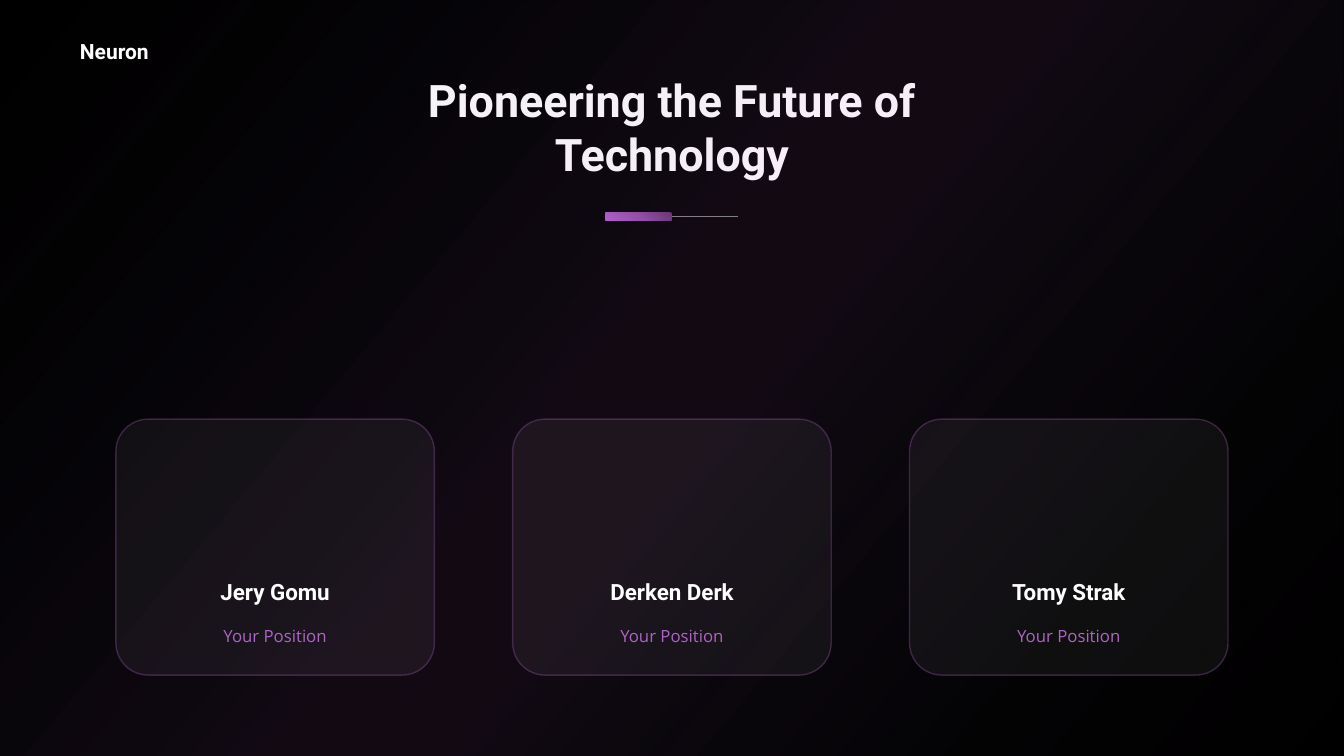
from pptx import Presentation
from pptx.dml.color import RGBColor
from pptx.enum.shapes import MSO_CONNECTOR as Line, MSO_SHAPE as Form
from pptx.enum.text import MSO_ANCHOR as Anchor, PP_ALIGN as Align
from pptx.oxml import parse_xml
from pptx.oxml.ns import qn
from pptx.util import Pt
from lxml.etree import SubElement

HUES = {
    "back": "000000", "text": "FFFFFF", "pink": "AC65C3", "rule": "808080",
    "dusk": "381F5F", "night": "1F2232",
    "dark": "683878", "mid": "944FAA", "light": "B05ECA",
}
WIDE, HIGH = 960, 540
NS = "http://schemas.openxmlformats.org/drawingml/2006/main"
TEAM = ("Jery Gomu", "Derken Derk", "Tomy Strak")


def hue(name):
    return RGBColor.from_string(HUES[name])


def fade(fill, part):
    tag = fill._xPr.find(qn("a:solidFill"))[0]
    SubElement(tag, qn("a:alpha")).set("val", str(part * 1000))


def blend(shape, stops, angle):
    shape.fill.background()
    marks = "".join(
        f'<a:gs pos="{pos * 1000}"><a:srgbClr val="{HUES[name]}">'
        f'<a:alpha val="{part * 1000}"/></a:srgbClr></a:gs>'
        for pos, name, part in stops)
    grad = parse_xml(
        f'<a:gradFill xmlns:a="{NS}" rotWithShape="1"><a:gsLst>{marks}</a:gsLst>'
        f'<a:lin ang="{angle * 60000}" scaled="0"/></a:gradFill>')
    props = shape._element.spPr
    props.replace(props.find(qn("a:noFill")), grad)


def block(slide, form, x, y, w, h):
    shape = slide.shapes.add_shape(form, Pt(x), Pt(y), Pt(w), Pt(h))
    shape.shadow.inherit = False
    shape.line.fill.background()
    return shape


def write(frame, text, size, tint="text", face="Roboto", bold=True,
          align=Align.CENTER, space=1.0):
    frame.word_wrap = True
    frame.vertical_anchor = Anchor.TOP
    para = frame.paragraphs[0]
    para.alignment = align
    para.line_spacing = space
    run = para.add_run()
    run.text = text
    font = run.font
    font.name, font.size, font.bold = face, Pt(size), bold
    font.color.rgb = hue(tint)


def label(slide, x, y, w, h, text, size, **style):
    box = slide.shapes.add_textbox(Pt(x), Pt(y), Pt(w), Pt(h))
    write(box.text_frame, text, size, **style)


def backdrop(slide):
    fill = slide.background.fill
    fill.solid()
    fill.fore_color.rgb = hue("back")
    glow = block(slide, Form.RECTANGLE, 0, 0, WIDE, HIGH)
    blend(glow, [(2, "dusk", 0), (45, "pink", 10), (55, "pink", 10),
                 (100, "night", 0)], 40)
    label(slide, 50, 23.8, 70, 25, "Neuron", 15, align=Align.LEFT)


def header(slide, x, y, w, h):
    title = slide.shapes.title
    title.left, title.top, title.width, title.height = Pt(x), Pt(y), Pt(w), Pt(h)
    write(title.text_frame, "Pioneering the Future of Technology", 32)


def accent(slide, x, y, w, h):
    bar = block(slide, Form.ROUNDED_RECTANGLE, x, y, w / 2, h)
    blend(bar, [(0, "dark", 100), (50, "mid", 100), (100, "light", 100)], 135)
    mid = Pt(y + h / 2)
    rule = slide.shapes.add_connector(Line.STRAIGHT, Pt(x + w), mid,
                                      Pt(x + w / 2), mid)
    rule.end_connect(bar, 3)
    rule.line.color.rgb = hue("rule")
    rule.line.width = Pt(0.5)
    SubElement(rule._element.spPr, qn("a:effectLst"))


def card(slide, x, y, w, h, name):
    panel = block(slide, Form.ROUNDED_RECTANGLE, x, y, w, h)
    panel.adjustments[0] = 0.126
    panel.fill.solid()
    panel.fill.fore_color.rgb = hue("text")
    fade(panel.fill, 5)
    panel.line.color.rgb = hue("pink")
    panel.line.width = Pt(1)
    fade(panel.line.fill, 30)
    inset = 29.2
    span = w - 2 * inset
    label(slide, x + inset, y + 137, span, 26.6, "Your Position", 12,
          tint="pink", face="Open Sans", bold=False, space=1.5)
    label(slide, x + inset, y + 110.2, span, 26.6, name, 16)


def team(slide, x, y, w, h):
    size = 227.5
    step = (w - size) / (len(TEAM) - 1)
    for i, name in enumerate(TEAM):
        card(slide, x + i * step, y, size, h, name)


def main():
    deck = Presentation()
    deck.slide_width, deck.slide_height = Pt(WIDE), Pt(HIGH)
    slide = deck.slides.add_slide(deck.slide_layouts[5])
    backdrop(slide)
    header(slide, 270.5, 48.3, 419, 85)
    accent(slide, 432.5, 151.7, 94.8, 6)
    team(slide, 82.8, 299.4, 794.4, 182.8)
    deck.save("out.pptx")


if __name__ == "__main__":
    main()
